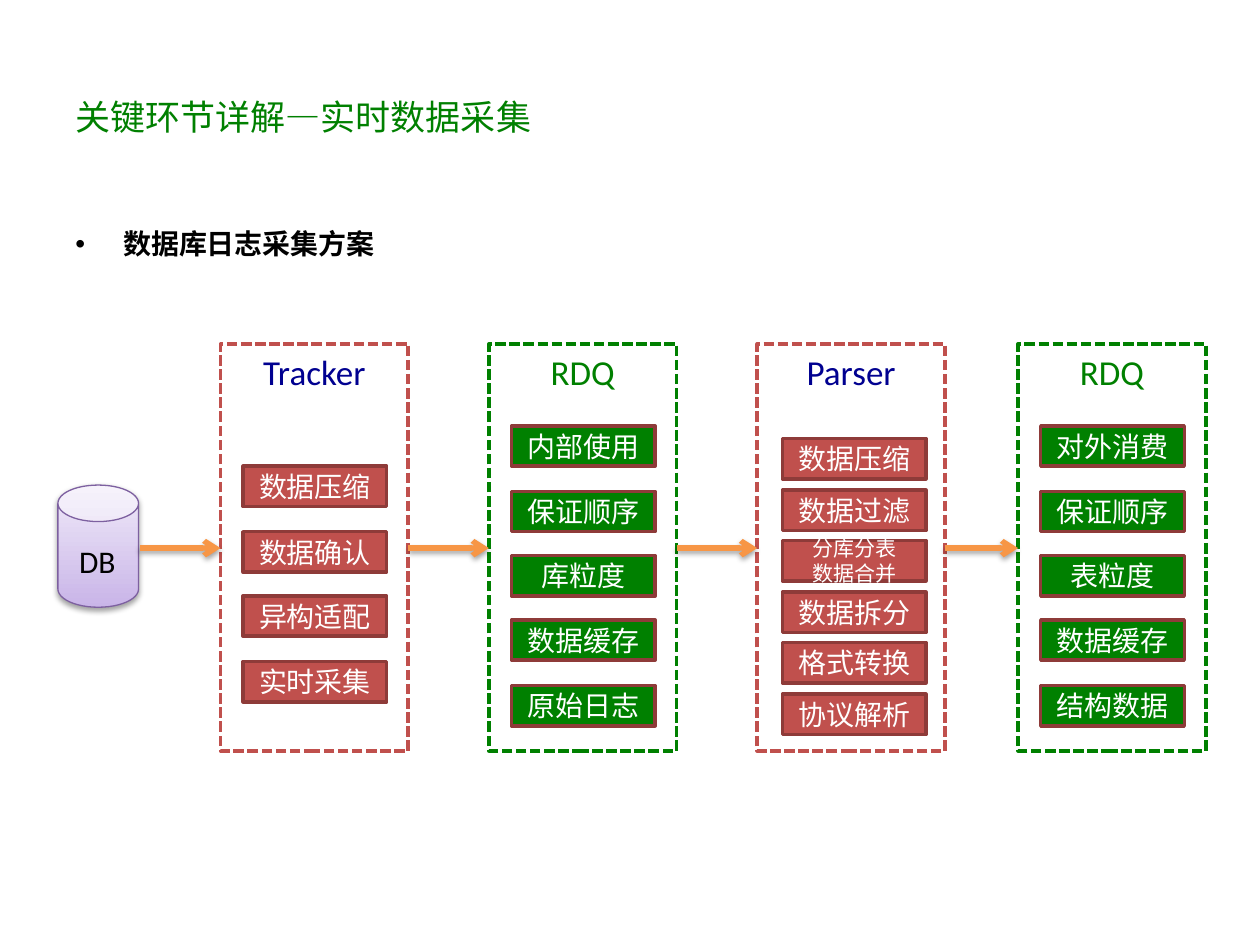
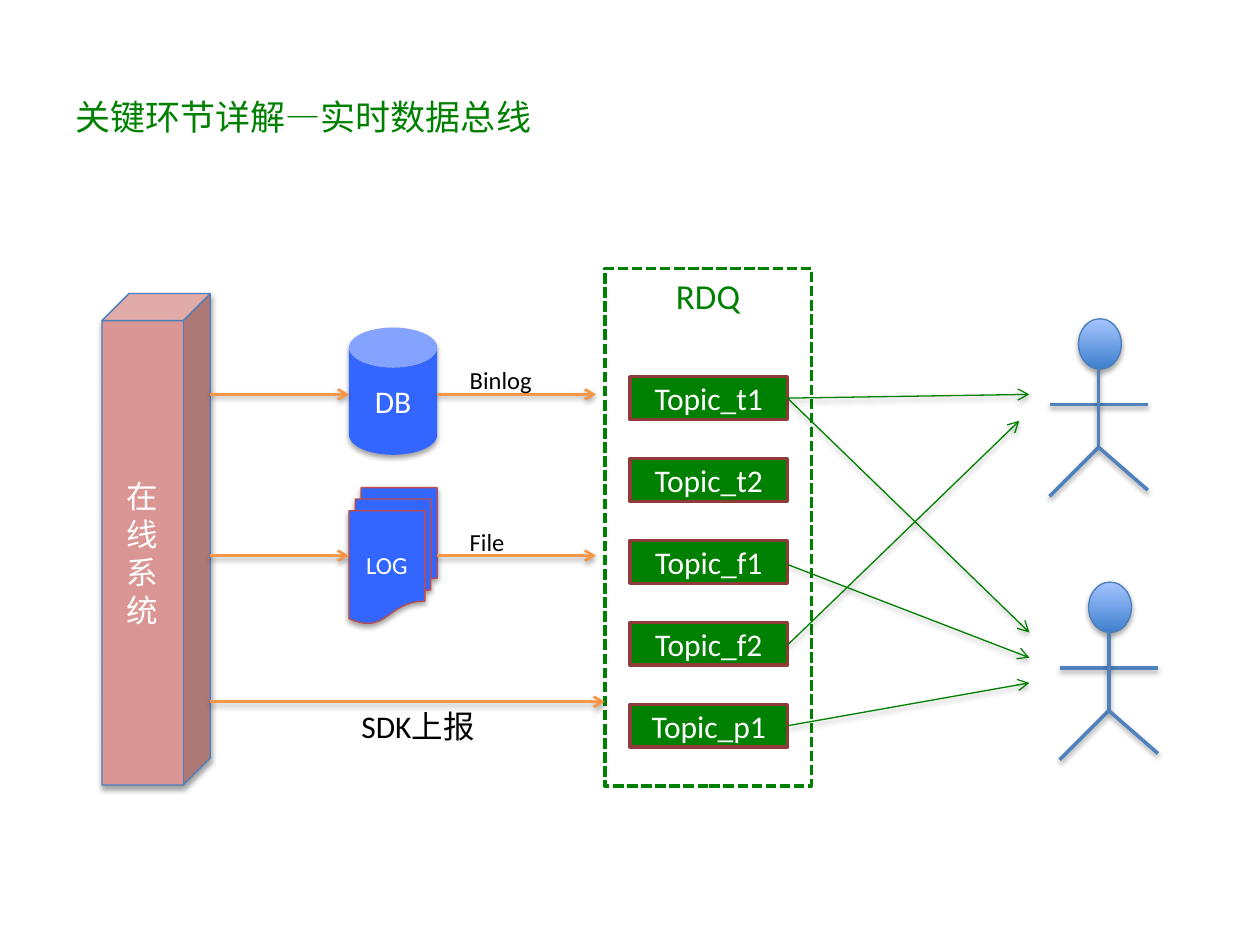
from lxml.etree import SubElement
from pptx import Presentation
from pptx.dml.color import RGBColor
from pptx.enum.dml import MSO_LINE
from pptx.enum.shapes import MSO_CONNECTOR, MSO_SHAPE
from pptx.enum.text import MSO_ANCHOR, PP_ALIGN
from pptx.oxml.ns import qn
from pptx.util import Pt

PX = 9144
LATIN, CJK = "Calibri", "Noto Sans CJK SC"
BLACK = RGBColor(0x00, 0x00, 0x00)
WHITE = RGBColor(0xFF, 0xFF, 0xFF)
GREEN = RGBColor(0x00, 0x80, 0x00)
NAVY = RGBColor(0x00, 0x00, 0x90)
RED = RGBColor(0xC0, 0x50, 0x4D)
DARK_RED = RGBColor(0x8E, 0x3B, 0x39)
LOG_EDGE = RGBColor(0xBF, 0x4C, 0x48)
PINK = RGBColor(0xD9, 0x96, 0x94)
ORANGE = RGBColor(0xF7, 0x96, 0x46)
BRIGHT_BLUE = RGBColor(0x33, 0x66, 0xFF)
LIMB_BLUE = RGBColor(0x4F, 0x81, 0xBD)
EDGE_BLUE = RGBColor(0x4B, 0x7E, 0xBC)
HEAD_GRADIENT = (RGBColor(0x3F, 0x80, 0xCE), RGBColor(0xA4, 0xC4, 0xFF))
PURPLE = RGBColor(0x7D, 0x60, 0xA0)
LILAC_GRADIENT = (RGBColor(0xC9, 0xB5, 0xE8), RGBColor(0xF0, 0xEA, 0xF9))


def emu(*lengths):
    """Turn px lengths into EMU."""
    return [round(length * PX) for length in lengths]


def spread(first, last, count):
    """Return evenly spaced positions from first to last."""
    return [round(first + (last - first) * i / (count - 1)) for i in range(count)]


def write(shape, text, size, color, align=PP_ALIGN.LEFT, anchor=MSO_ANCHOR.TOP,
          font=LATIN, bold=False):
    """Put uniformly formatted text in a shape."""
    frame = shape.text_frame
    frame.text = text
    frame.vertical_anchor = anchor
    for paragraph in frame.paragraphs:
        paragraph.alignment = align
        for run in paragraph.runs:
            run.font.size, run.font.bold, run.font.name = Pt(size), bold, font
            run.font.color.rgb = color
            SubElement(run.font._element, qn("a:ea")).set("typeface", CJK)


def add_shadow(shape):
    """Give a shape or connector a soft shadow below it."""
    properties = shape.element.spPr
    effects = properties.find(qn("a:effectLst"))
    if effects is None:
        effects = SubElement(properties, qn("a:effectLst"))
    shadow = SubElement(effects, qn("a:outerShdw"), blurRad="40000",
                        dist="22000", dir="5400000", rotWithShape="0")
    color = SubElement(shadow, qn("a:srgbClr"), val="000000")
    SubElement(color, qn("a:alpha"), val="36000")


def add_figure(slide, kind, box, fill, line=None, width=0.75, shadow=True):
    """Add a preset shape; a pair of fill colours makes an upward gradient."""
    shape = slide.shapes.add_shape(kind, *emu(*box))
    if isinstance(fill, RGBColor):
        shape.fill.solid()
        shape.fill.fore_color.rgb = fill
    else:
        shape.fill.gradient()
        shape.fill.gradient_angle = 90
        for stop, color in zip(shape.fill.gradient_stops, fill):
            stop.color.rgb = color
    if line is None:
        shape.line.fill.background()
    else:
        shape.line.color.rgb = line
        shape.line.width = Pt(width)
    shape.shadow.inherit = False
    if shadow:
        add_shadow(shape)
    return shape


def add_label(slide, box, text, size, color=BLACK, wrap=True, **style):
    """Add a text box."""
    label = slide.shapes.add_textbox(*emu(*box))
    label.text_frame.word_wrap = wrap
    write(label, text, size, color, **style)
    return label


def add_line(slide, start, end, color, width, arrow=True):
    """Add a shadowed straight line, by default with an arrowhead."""
    line = slide.shapes.add_connector(MSO_CONNECTOR.STRAIGHT, *emu(*start, *end))
    line.line.color.rgb = color
    line.line.width = Pt(width)
    if arrow:
        SubElement(line.element.spPr.find(qn("a:ln")), qn("a:tailEnd"), type="arrow")
    add_shadow(line)


def add_can(slide, box, fill, line=None):
    """Add a database cylinder."""
    can = add_figure(slide, MSO_SHAPE.CAN, box, fill, line)
    can.adjustments[0] = 0.453
    return can


def add_panel(slide, box, heading, edge, heading_color):
    """Add a dashed panel with its heading at the top."""
    panel = add_figure(slide, MSO_SHAPE.RECTANGLE, box, WHITE, edge, 2, shadow=False)
    panel.line.dash_style = MSO_LINE.SQUARE_DOT
    write(panel, heading, 20, heading_color, PP_ALIGN.CENTER)


def add_steps(slide, left, tops, size, texts, fill, font_size):
    """Add a column of equally spaced boxes."""
    for top, text in zip(spread(*tops, len(texts)), texts):
        step = add_figure(slide, MSO_SHAPE.RECTANGLE, (left, top, *size),
                          fill, DARK_RED, 2, shadow=False)
        points = 12 if "\n" in text else font_size
        write(step, text, points, WHITE, PP_ALIGN.CENTER, MSO_ANCHOR.MIDDLE)


def add_person(slide, center, top):
    """Add a stick figure."""
    add_figure(slide, MSO_SHAPE.OVAL, (center - 16, top, 34, 40), HEAD_GRADIENT, EDGE_BLUE)
    hip = (center, top + 102)
    limbs = [((center - 39, top + 68), (center + 39, top + 68)),
             ((center, top + 39), hip),
             (hip, (center - 39, top + 141)),
             (hip, (center + 39, top + 136))]
    for start, end in limbs:
        add_line(slide, start, end, LIMB_BLUE, 2, arrow=False)


def add_titled_slide(presentation, title):
    """Add a blank slide with the shared title style."""
    slide = presentation.slides.add_slide(presentation.slide_layouts[6])
    add_label(slide, (50, 30, 900, 125), title, 20, GREEN,
              anchor=MSO_ANCHOR.MIDDLE, font=CJK)
    return slide


def build_collection(presentation):
    """Build the log collection pipeline slide."""
    slide = add_titled_slide(presentation, "关键环节详解—实时数据采集")
    body = add_label(slide, (50, 175, 900, 495), "数据库日志采集方案", 16,
                     font=CJK, bold=True)
    properties = body.text_frame.paragraphs[0]._p.get_or_add_pPr()
    properties.set("marL", str(38 * PX))
    properties.set("indent", str(-38 * PX))
    SubElement(properties, qn("a:buFont"), typeface="Arial")
    SubElement(properties, qn("a:buChar"), char="•")

    add_can(slide, (46, 385, 64, 97), LILAC_GRADIENT, PURPLE)
    add_label(slide, (53, 425, 50, 33), "DB", 18, wrap=False)
    stages = [
        (175, 193, "Tracker", RED, NAVY, (370, 525),
         ["数据压缩", "数据确认", "异构适配", "实时采集"]),
        (388, 406, "RDQ", GREEN, GREEN, (338, 544),
         ["内部使用", "保证顺序", "库粒度", "数据缓存", "原始日志"]),
        (601, 621, "Parser", RED, NAVY, (348, 551),
         ["数据压缩", "数据过滤", "分库分表\n数据合并", "数据拆分", "格式转换", "协议解析"]),
        (808, 826, "RDQ", GREEN, GREEN, (338, 544),
         ["对外消费", "保证顺序", "表粒度", "数据缓存", "结构数据"]),
    ]
    arrow_start = 111
    for left, step_left, heading, color, heading_color, tops, texts in stages:
        add_panel(slide, (left, 273, 149, 323), heading, color, heading_color)
        add_steps(slide, step_left, tops, (114, 32), texts, color, 16)
        add_line(slide, (arrow_start, 435), (left, 435), ORANGE, 3)
        arrow_start = left + 149


def build_bus(presentation):
    """Build the data bus slide."""
    slide = add_titled_slide(presentation, "关键环节详解—实时数据总线")
    sources = [
        (add_can(slide, (277, 260, 70, 101), BRIGHT_BLUE), "DB", 18),
        (add_figure(slide, MSO_SHAPE.FLOWCHART_MULTIDOCUMENT, (277, 387, 70, 108),
                    BRIGHT_BLUE, LOG_EDGE), "LOG", 14),
        (add_figure(slide, MSO_SHAPE.CUBE, (81, 233, 86, 390), PINK, EDGE_BLUE),
         "在线系统", 18),
    ]
    for shape, text, size in sources:
        write(shape, text, size, WHITE, PP_ALIGN.CENTER, MSO_ANCHOR.MIDDLE)

    add_panel(slide, (480, 213, 164, 411), "RDQ", GREEN, GREEN)
    add_steps(slide, 500, (299, 559), (125, 34),
              ["Topic_t1", "Topic_t2", "Topic_f1", "Topic_f2", "Topic_p1"], GREEN, 18)

    for y, text in [(313, "Binlog"), (441, "File")]:
        add_line(slide, (167, y), (277, y), ORANGE, 1.5)
        add_line(slide, (347, y), (473, y), ORANGE, 1.5)
        add_label(slide, (363, y - 28, 110, 37), text, 14)
    add_line(slide, (167, 557), (480, 557), ORANGE, 1.5)
    add_label(slide, (277, 556, 133, 35), "SDK上报", 18)

    add_person(slide, 872, 253)
    add_person(slide, 880, 462)
    for start_y, end in [(316, (817, 313)), (316, (817, 502)), (448, (817, 522)),
                         (512, (809, 334)), (576, (817, 542))]:
        add_line(slide, (625, start_y), end, GREEN, 0.75)


def main():
    """Build and save the presentation."""
    presentation = Presentation()
    presentation.slide_width, presentation.slide_height = emu(1000, 750)
    build_collection(presentation)
    build_bus(presentation)
    presentation.save("out.pptx")


if __name__ == "__main__":
    main()
